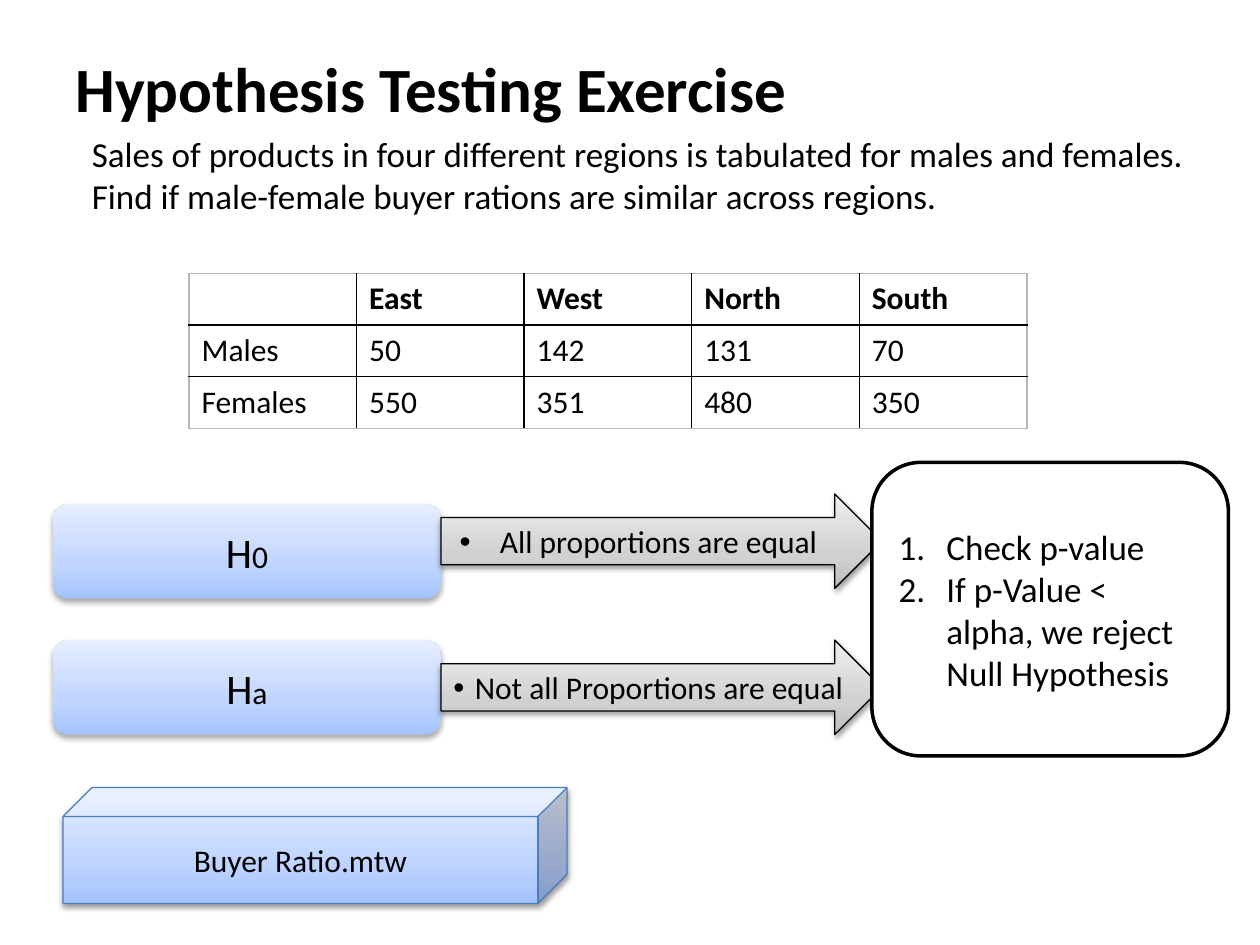
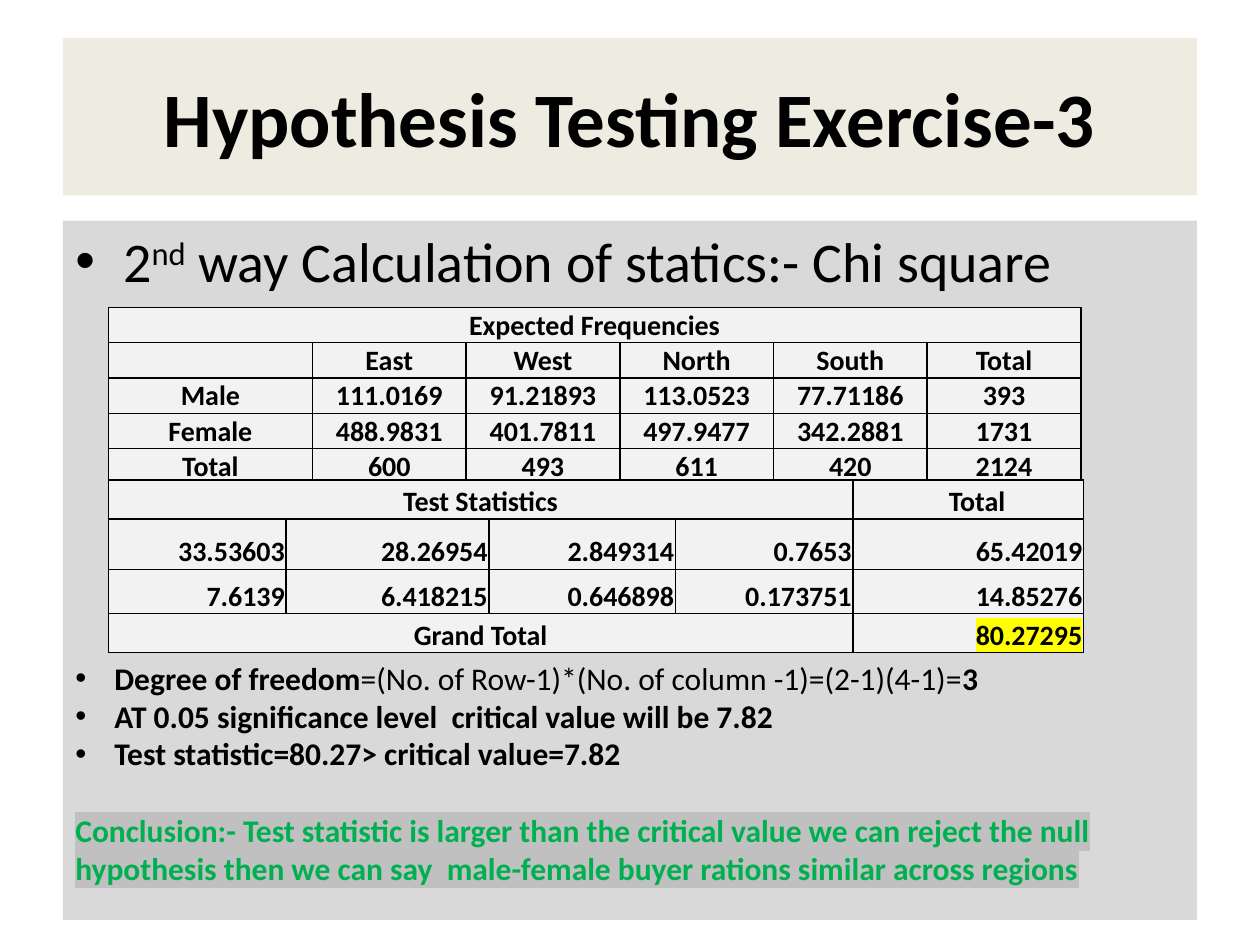
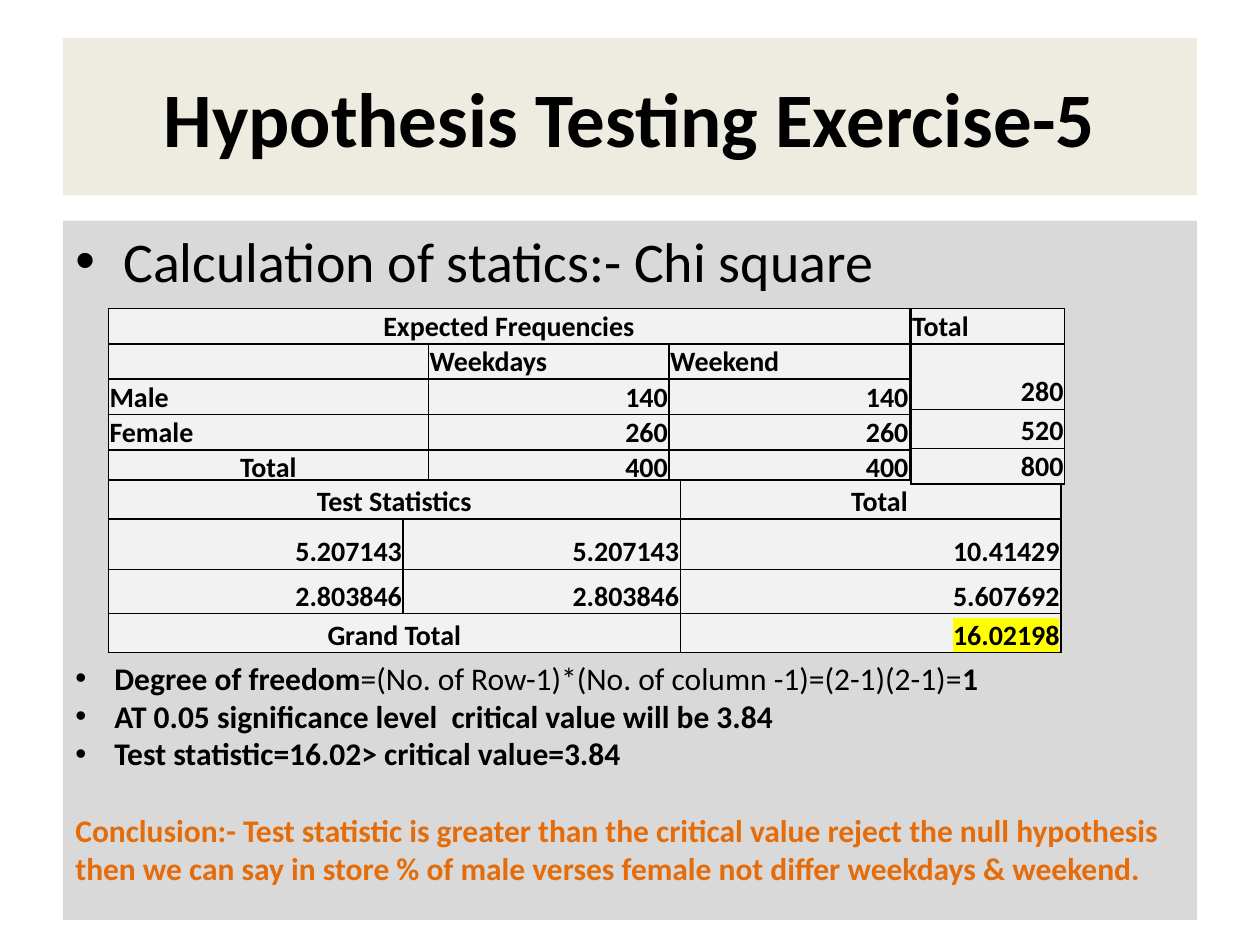
from copy import deepcopy

from lxml.etree import SubElement
from pptx import Presentation
from pptx.dml.color import RGBColor
from pptx.enum.shapes import MSO_SHAPE as Kind
from pptx.enum.text import MSO_ANCHOR as Anchor, PP_ALIGN as Align
from pptx.oxml.ns import qn
from pptx.util import Inches, Pt

FONT = "Calibri"
BLACK, WHITE = "000000", "FFFFFF"
SAND, PANEL, CELL, EDGE = "EEECE1", "D9D9D9", "F2F2F2", "B8B8B8"
YELLOW, SILVER = "FFFF00", "C0C0C0"
BLUES = [(0, "A4C4FF"), (0.35, "BFD4FF"), (1, "E6EEFF")]
GREYS = [(0, "BDBDBD"), (0.35, "D1D1D1"), (1, "EEEEEE")]
ALIGN = {"l": Align.LEFT, "c": Align.CENTER, "r": Align.RIGHT, "i": Align.CENTER}
DOT = ("buChar", {"char": "•"})
NUM = ("buAutoNum", {"type": "arabicPeriod"})
HEAD = [0.31, 0.4, 0.35, 0.31]


def rgb(code):
    """Turn a hex string into a colour."""
    return RGBColor.from_string(code)


def node(parent, tag, **attrs):
    """Append a drawing element with attributes."""
    return SubElement(parent, qn("a:" + tag), {k: str(v) for k, v in attrs.items()})


def tint(parent, code):
    """Append a hex colour to an element."""
    return node(parent, "srgbClr", val=code)


def add_run(par, text, size, bold=False, color=BLACK, mark=None, base=None):
    """Add one formatted run to a paragraph."""
    run = par.add_run()
    run.text = text
    font = run.font
    font.color.rgb = rgb(color)
    props = font._element
    if mark:
        tint(node(props, "highlight"), mark)
    if base:
        props.set("baseline", str(base))
    for key, val in {"name": FONT, "size": Pt(size), "bold": bold}.items():
        setattr(font, key, val)


def add_par(par, runs, size, bold=False, align="l", left=0, hang=0, bullet=None, before=0):
    """Fill a paragraph with runs, indents and a bullet."""
    for key, val in {"alignment": ALIGN[align], "space_before": Pt(before)}.items():
        setattr(par, key, val)
    props = par._p.get_or_add_pPr()
    props.set("marL", str(Inches(left)))
    props.set("indent", str(Inches(-hang)))
    if bullet:
        node(props, "buFont", typeface="Arial" if bullet is DOT else FONT)
        node(props, bullet[0], **bullet[1])
    for text, form in runs:
        add_run(par, text, **{"size": size, "bold": bold, **form})


def fill_text(shape, pars, anchor=Anchor.TOP, **look):
    """Write paragraphs into a shape."""
    frame = shape.text_frame
    for key, val in {"word_wrap": True, "vertical_anchor": anchor}.items():
        setattr(frame, key, val)
    for num, (runs, form) in enumerate(pars):
        par = frame.add_paragraph() if num else frame.paragraphs[0]
        add_par(par, runs, **{**look, **form})


def add_text(slide, at, pars, **look):
    """Add a text box."""
    box = slide.shapes.add_textbox(*map(Inches, at))
    fill_text(box, pars, **look)


def add_box(slide, kind, at, fill, line=None, width=0.75, shade=None):
    """Add a preset shape with a plain or graded fill."""
    box = slide.shapes.add_shape(kind, *map(Inches, at))
    if isinstance(fill, str):
        box.fill.solid()
        box.fill.fore_color.rgb = rgb(fill)
    else:
        box.fill.gradient()
        box.fill.gradient_angle = 90
        stops = box._element.spPr.find(".//" + qn("a:gsLst"))
        stops.append(deepcopy(stops[0]))
        for stop, (pos, code) in zip(box.fill.gradient_stops, fill):
            stop.position = pos
            stop.color.rgb = rgb(code)
    if line:
        box.line.color.rgb = rgb(line)
        box.line.width = Pt(width)
    else:
        box.line.fill.background()
    box.shadow.inherit = False
    if shade:
        add_shade(box, *shade)
    return box


def add_shade(box, alpha, blur, dist):
    """Give a shape a soft shadow below it."""
    effect = box._element.spPr.find(qn("a:effectLst"))
    outer = node(effect, "outerShdw", blurRad=Pt(blur), dist=Pt(dist),
                 dir=5400000, rotWithShape=0)
    node(tint(outer, BLACK), "alpha", val=alpha * 1000)


def set_lines(cell, colors):
    """Draw the four borders of a cell."""
    props = cell._tc.get_or_add_tcPr()
    for side, code in zip("LRTB", colors):
        line = node(props, "ln" + side, w=Pt(1))
        tint(node(line, "solidFill"), code)


def add_grid(slide, left, top, cols, high, rows, size=16, fill=CELL, rim=BLACK,
             pads=(0.01, 0.01, 0.01, 0), anchor=Anchor.BOTTOM, heavy=None, spans=(), mark=None):
    """Add a table whose rows pair alignment codes with texts."""
    dims = (left, top, sum(cols), sum(high))
    grid = slide.shapes.add_table(len(rows), len(cols), *map(Inches, dims)).table
    grid.first_row = grid.horz_banding = False
    for col, wide in zip(grid.columns, cols):
        col.width = Inches(wide)
    for row, tall in zip(grid.rows, high):
        row.height = Inches(tall)
    for r, (codes, texts) in enumerate(rows):
        for c, (code, text) in enumerate(zip(codes, texts)):
            cell = grid.cell(r, c)
            outer = (c == 0, c == len(cols) - 1, r == 0, r == len(rows) - 1)
            set_lines(cell, [rim if out else BLACK for out in outer])
            if fill:
                cell.fill.solid()
                cell.fill.fore_color.rgb = rgb(fill)
            else:
                cell.fill.background()
            cell.vertical_anchor = anchor
            for side, pad in zip(("left", "right", "top", "bottom"), pads):
                setattr(cell, "margin_" + side, Inches(pad))
            par = cell.text_frame.paragraphs[0]
            form = {"mark": YELLOW} if text and text == mark else {}
            add_par(par, [(text, form)] if text else [], size, heavy is None or r == heavy,
                    code, left=0.14 if code == "i" else 0)
            if not text:
                node(par._p, "endParaRPr", sz=size * 100)
    for r, last in spans:
        grid.cell(r, 0).merge(grid.cell(r, last))


def add_stats(slide, cols, body, grand):
    """Add the table of test statistics with its grand total."""
    last = len(cols) - 1
    gap = [""] * (last - 1)
    rows = [("c" * last + "i", ["Test Statistics", *gap, "Total"])]
    rows += [("r" * len(cols), texts) for texts in body]
    rows.append(("c" * last + "r", ["Grand Total", *gap, grand]))
    add_grid(slide, 0.86, 3.81, cols, HEAD, rows,
             spans=[(0, last - 1), (3, last - 1)], mark=grand)


def add_notes(slide, sum_text, free, crit, stat, end, **look):
    """Add the bullets and the conclusion under the tables."""
    item = {"left": 0.31, "hang": 0.31, "bullet": DOT}
    degree = [("Degree of freedom", {}),
              (f"=(No. of Row-1)*(No. of column -1)={sum_text}=", {"bold": False}),
              (free, {})]
    add_text(slide, (0.5, 5.18, 8.86, 2.2), [
        (degree, item),
        ([(f"AT 0.05 significance level  critical value will be {crit}", {})], item),
        ([(f"Test statistic={stat}> critical value={crit}", {})], item),
        ([("Conclusion:- " + end, look)], {"before": 22}),
    ], size=18, bold=True)


def add_frame(slide, title, lead):
    """Add the title band and the grey panel with its lead line."""
    band = add_box(slide, Kind.RECTANGLE, (0.5, 0.3, 9, 1.25), SAND)
    fill_text(band, [([(title, {})], {})], anchor=Anchor.MIDDLE, size=44, bold=True, align="c")
    panel = add_box(slide, Kind.RECTANGLE, (0.5, 1.75, 9, 5.55), PANEL)
    fill_text(panel, [(lead, {})], size=32, left=0.38, hang=0.38, bullet=DOT)


def draw_test(slide):
    """Draw the exercise with its hypotheses."""
    add_text(slide, (0.5, 0.3, 9, 0.78), [([("Hypothesis Testing Exercise", {})], {})],
             anchor=Anchor.MIDDLE, size=36, bold=True)
    add_text(slide, (0.25, 1, 9.58, 0.85), [([(
        "Sales of products in four different regions is tabulated for males and females. "
        "Find if male-female buyer rations are similar across regions.", {})], {})],
        size=20, left=0.38)
    rows = [["", "East", "West", "North", "South"],
            ["Males", "50", "142", "131", "70"],
            ["Females", "550", "351", "480", "350"]]
    add_grid(slide, 1.5, 2.17, [1.33] * 5, [0.41] * 3, [("l" * 5, row) for row in rows],
             size=18, fill=None, rim=EDGE, pads=(0.1, 0.1, 0.05, 0.05),
             anchor=Anchor.TOP, heavy=0)
    claims = [("0", 4, 3.92, "All proportions are equal", 0.37, 0.32),
              ("a", 5.08, 5.08, "Not all Proportions are equal", 0.17, 0.17)]
    for sign, top, tip, text, left, hang in claims:
        card = add_box(slide, Kind.ROUNDED_RECTANGLE, (0.42, top, 3.08, 0.75), BLUES,
                       shade=(32, 3.5, 2.2))
        fill_text(card, [([("H", {}), (sign, {"size": 18})], {})],
                  anchor=Anchor.MIDDLE, size=24, align="c")
        arrow = add_box(slide, Kind.RIGHT_ARROW, (3.5, tip, 3.5, 0.75), GREYS, BLACK,
                        shade=(38, 3.1, 1.6))
        arrow.text_frame.margin_right = Inches(0.02)
        fill_text(arrow, [([(text, {})], {})], anchor=Anchor.MIDDLE, size=18,
                  left=left, hang=hang, bullet=DOT)
    rule = add_box(slide, Kind.ROUNDED_RECTANGLE, (6.92, 3.67, 2.83, 2.33), WHITE, BLACK, 2)
    steps = ["Check p-value", "If p-Value < alpha, we reject Null Hypothesis"]
    fill_text(rule, [([(step, {})], {}) for step in steps], anchor=Anchor.MIDDLE,
              size=20, left=0.38, hang=0.38, bullet=NUM)
    cube = add_box(slide, Kind.CUBE, (0.5, 6.25, 4, 0.92), BLUES, "4B7EBC",
                   shade=(38, 3.1, 1.6))
    fill_text(cube, [([("Buyer Ratio.mtw", {})], {})], anchor=Anchor.MIDDLE,
              size=18, align="c")


def draw_region(slide):
    """Draw the chi square test by region."""
    add_frame(slide, "Hypothesis Testing Exercise-3",
              [("2", {}), ("nd", {"base": 30000}),
               (" way Calculation of statics:- Chi square", {})])
    rows = [["Expected Frequencies"] + [""] * 5,
            ["", "East", "West", "North", "South", "Total"],
            ["Male", "111.0169", "91.21893", "113.0523", "77.71186", "393"],
            ["Female", "488.9831", "401.7811", "497.9477", "342.2881", "1731"],
            ["Total", "600", "493", "611", "420", "2124"]]
    add_grid(slide, 0.86, 2.44, [1.62] + [1.22] * 5, [0.28] * 5,
             [("c" * 6, row) for row in rows], spans=[(0, 5)])
    add_stats(slide, [1.41, 1.61, 1.48, 1.41, 1.83],
              [["33.53603", "28.26954", "2.849314", "0.7653", "65.42019"],
               ["7.6139", "6.418215", "0.646898", "0.173751", "14.85276"]], "80.27295")
    add_notes(slide, "(2-1)(4-1)", "3", "7.82", "80.27",
              "Test statistic is larger than the critical value we can reject the null "
              "hypothesis then we can say  male-female buyer rations similar across regions",
              color="00B050", mark=SILVER)


def draw_week(slide):
    """Draw the chi square test by part of the week."""
    add_frame(slide, "Hypothesis Testing Exercise-5",
              [("Calculation of statics:- Chi square", {})])
    add_grid(slide, 0.86, 2.45, [2.54, 1.91, 1.91], [0.28] * 5, [
        ("ccc", ["Expected Frequencies", "", ""]),
        ("lll", ["", "Weekdays", "Weekend"]),
        ("lrr", ["Male", "140", "140"]),
        ("lrr", ["Female", "260", "260"]),
        ("crr", ["Total", "400", "400"])], spans=[(0, 2)])
    add_stats(slide, [2.34, 2.2, 3.02],
              [["5.207143", "5.207143", "10.41429"],
               ["2.803846", "2.803846", "5.607692"]], "16.02198")
    add_notes(slide, "(2-1)(2-1)", "1", "3.84", "16.02",
              "Test statistic is greater than the critical value reject the null hypothesis "
              "then we can say in store % of male verses female not differ weekdays & weekend.",
              color="E46C0A")
    add_grid(slide, 7.23, 2.45, [1.22], [0.28, 0.52, 0.31, 0.28],
             [("l", ["Total"]), ("r", ["280"]), ("r", ["520"]), ("r", ["800"])])


def main():
    """Build the three slides and save them."""
    deck = Presentation()
    deck.slide_width, deck.slide_height = Inches(10), Inches(7.5)
    for draw in (draw_test, draw_region, draw_week):
        draw(deck.slides.add_slide(deck.slide_layouts[6]))
    deck.save("out.pptx")


if __name__ == "__main__":
    main()
